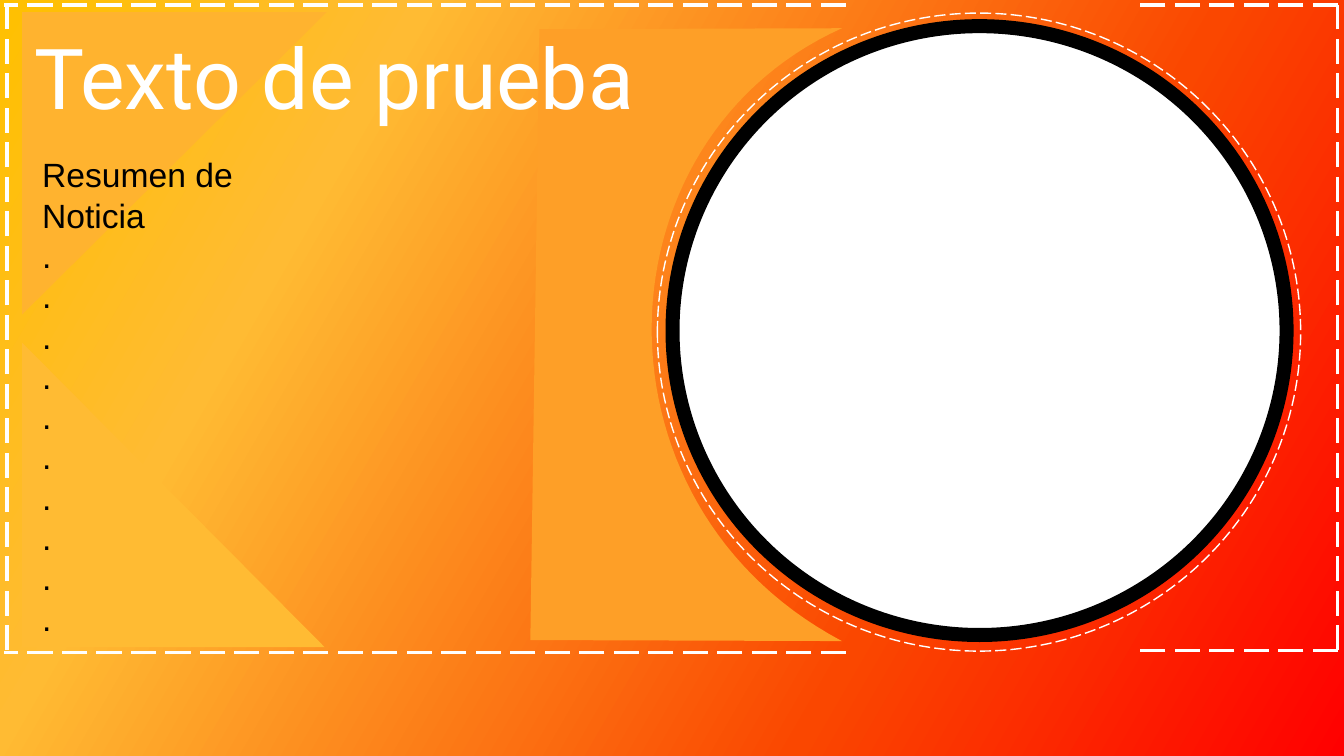
from lxml import etree
from pptx import Presentation
from pptx.dml.color import RGBColor
from pptx.enum import dml, shapes, text
from pptx.oxml.ns import qn
from pptx.util import Inches, Pt

COLORS = {
    "white": "FFFFFF", "black": "000000", "gold": "FFC000", "amber": "FFBB33",
    "flame": "FA4700", "red": "FF0000", "honey": "FFB32F", "orange": "FE9F27",
}


def rgb(name):
    """Return the named colour."""
    return RGBColor.from_string(COLORS[name])


def style_line(line, color, width, dashed=False):
    """Set the colour, width and dash of a line."""
    line.color.rgb = rgb(color)
    line.width = Pt(width)
    if dashed:
        line.dash_style = dml.MSO_LINE.LONG_DASH


def style_shape(sp, fill=None, line=None):
    """Set the fill and outline of a shape and drop its shadow."""
    sp.shadow.inherit = False
    if fill:
        sp.fill.solid()
        sp.fill.fore_color.rgb = rgb(fill)
    else:
        sp.fill.background()
    if line:
        style_line(sp.line, *line)
    else:
        sp.line.fill.background()


def add_shape(s, kind, box, fill=None, line=None):
    """Add a styled preset shape."""
    sp = s.shapes.add_shape(kind, *map(Inches, box))
    style_shape(sp, fill, line)
    return sp


def add_text(s, box, content, size, font, color):
    """Add a text box with one paragraph per line of content."""
    tb = s.shapes.add_textbox(*map(Inches, box))
    tf = tb.text_frame
    tf.word_wrap = True
    tf.auto_size = text.MSO_AUTO_SIZE.SHAPE_TO_FIT_TEXT
    tf.text = content
    for p in tf.paragraphs:
        for r in p.runs:
            r.font.size = Pt(size)
            r.font.name = font
            r.font.color.rgb = rgb(color)


def add_background(s, box):
    """Fill the box with the diagonal gradient."""
    sp = add_shape(s, shapes.MSO_SHAPE.RECTANGLE, box)
    sp.fill.gradient()
    sp.fill.gradient_angle = 330
    stops = sp._element.spPr.find(qn("a:gradFill")).find(qn("a:gsLst"))
    for stop in list(stops):
        stops.remove(stop)
    for pos, name in ((0, "gold"), (24, "amber"), (69, "flame"), (100, "red")):
        stop = etree.SubElement(stops, qn("a:gs"), pos=str(pos * 1000))
        etree.SubElement(stop, qn("a:srgbClr"), val=COLORS[name])


def add_photo_circle(s, box):
    """Draw the white disc and the dashed ring around it."""
    x, y, w, h = box
    oval = shapes.MSO_SHAPE.OVAL
    disc = (x + 0.15, y + 0.13, w - 0.29, h - 0.29)
    add_shape(s, oval, disc, "white", ("black", 10))
    add_shape(s, oval, box, line=("white", 1, True))


def add_frame(s, box):
    """Draw the dashed frame, open above and below the circle."""
    x, y, w, h = box
    right, bottom = x + w, y + h
    for x1, y1, x2, y2 in (
        (8.39, y, x - 0.03, y), (8.39, bottom + 0.02, x - 0.03, bottom + 0.02),
        (right, bottom, 11.24, bottom), (right, y, 11.24, y),
        (x, bottom, x, y), (right, bottom, right, y),
    ):
        ln = s.shapes.add_connector(
            shapes.MSO_CONNECTOR.STRAIGHT, *map(Inches, (x1, y1, x2, y2)))
        style_line(ln.line, "white", 2.25, True)
        etree.SubElement(ln._element.spPr, qn("a:effectLst"))


def add_corners(s, box):
    """Place the two corner triangles at the top and bottom of the box."""
    x, y, w, h = box
    side = 3.02
    for left, top, angle, fill in (
        (x + 0.01, y, 90, "honey"), (x, y + h - side, 0, "amber"),
    ):
        sp = add_shape(s, shapes.MSO_SHAPE.ISOSCELES_TRIANGLE,
                       (left, top, w, side), fill)
        sp.adjustments[0] = 0
        sp.rotation = angle


def bezier(points, steps=60):
    """Return points along a cubic curve, without its start."""
    a, b, c, d = points
    result = []
    for i in range(1, steps + 1):
        t = i / steps
        k = 1 - t
        result.append(tuple(
            k**3 * a[n] + 3 * k * k * t * b[n] + 3 * k * t * t * c[n] + t**3 * d[n]
            for n in (0, 1)))
    return result


def add_curved_panel(s, box):
    """Draw the orange panel whose right side curves around the circle."""
    x, y, w, h = box
    right, bottom = x + w, y + h
    curve = bezier(((right, bottom), (x + 0.52, y + 4.72),
                    (x + 0.63, y + 1.11), (right, y)))
    outline = [(x + 0.09, y + 0.01), (x, bottom - 0.01), (right, bottom)] + curve
    fb = s.shapes.build_freeform(Inches(right), Inches(y))
    fb.add_line_segments([(Inches(px), Inches(py)) for px, py in outline], close=True)
    style_shape(fb.convert_to_shape(), "orange")


def add_news_text(s, box):
    """Write the title and the news summary below it."""
    x, y, w, h = box
    add_text(s, (x, y, w, 1.11), "Texto de prueba", 60, "Roboto", "white")
    summary = "\n".join(["Resumen de", "Noticia"] + ["."] * 10)
    add_text(s, (x + 0.08, y + 1.28, 3.76, h - 1.28), summary,
             24, "Arial", "black")


def main():
    """Build and save the slide."""
    prs = Presentation()
    prs.slide_width, prs.slide_height = Inches(13.33), Inches(7.5)
    s = prs.slides.add_slide(prs.slide_layouts[6])
    add_background(s, (0, 0, 13.33, 7.5))
    add_photo_circle(s, (6.52, 0.13, 6.38, 6.33))
    add_frame(s, (0.07, 0.05, 13.2, 6.4))
    add_corners(s, (0.22, 0.11, 3, 6.31))
    add_curved_panel(s, (5.26, 0.28, 3.09, 6.08))
    add_news_text(s, (0.24, 0.2, 6.29, 6.23))
    prs.save("out.pptx")


main()
